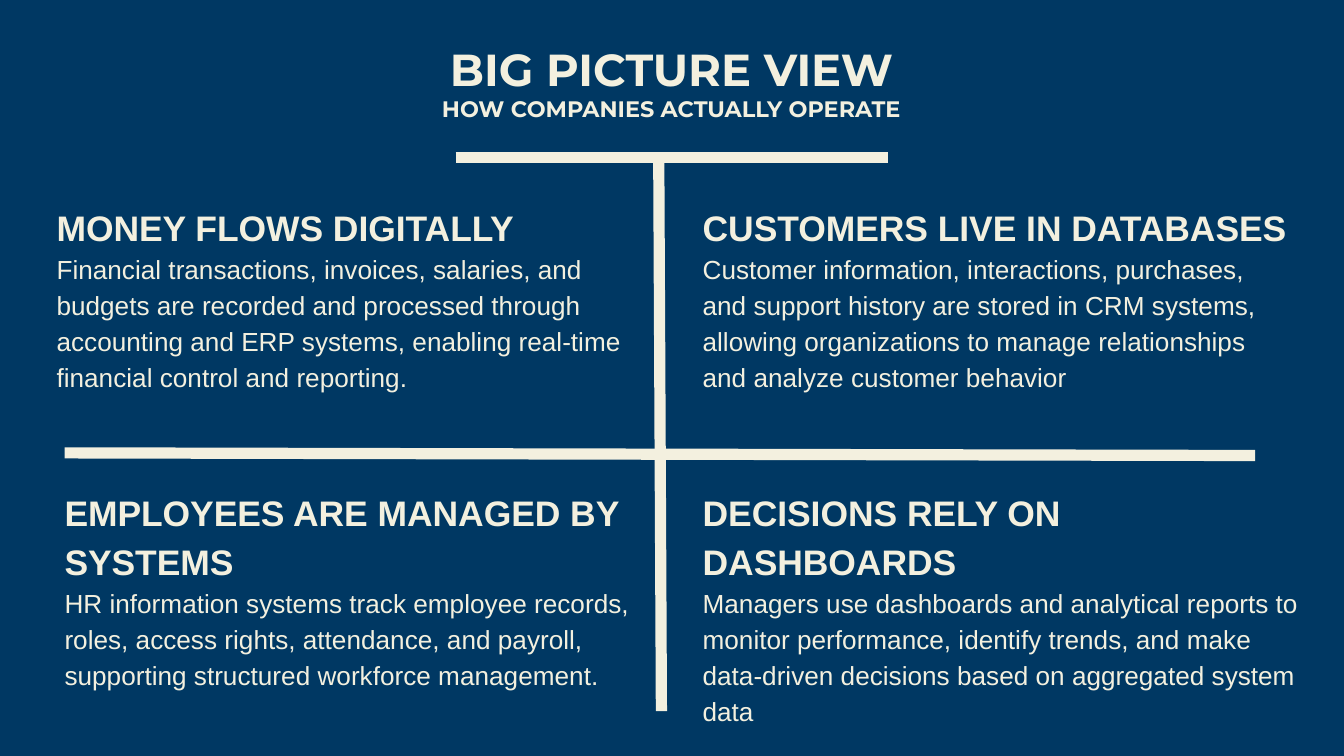
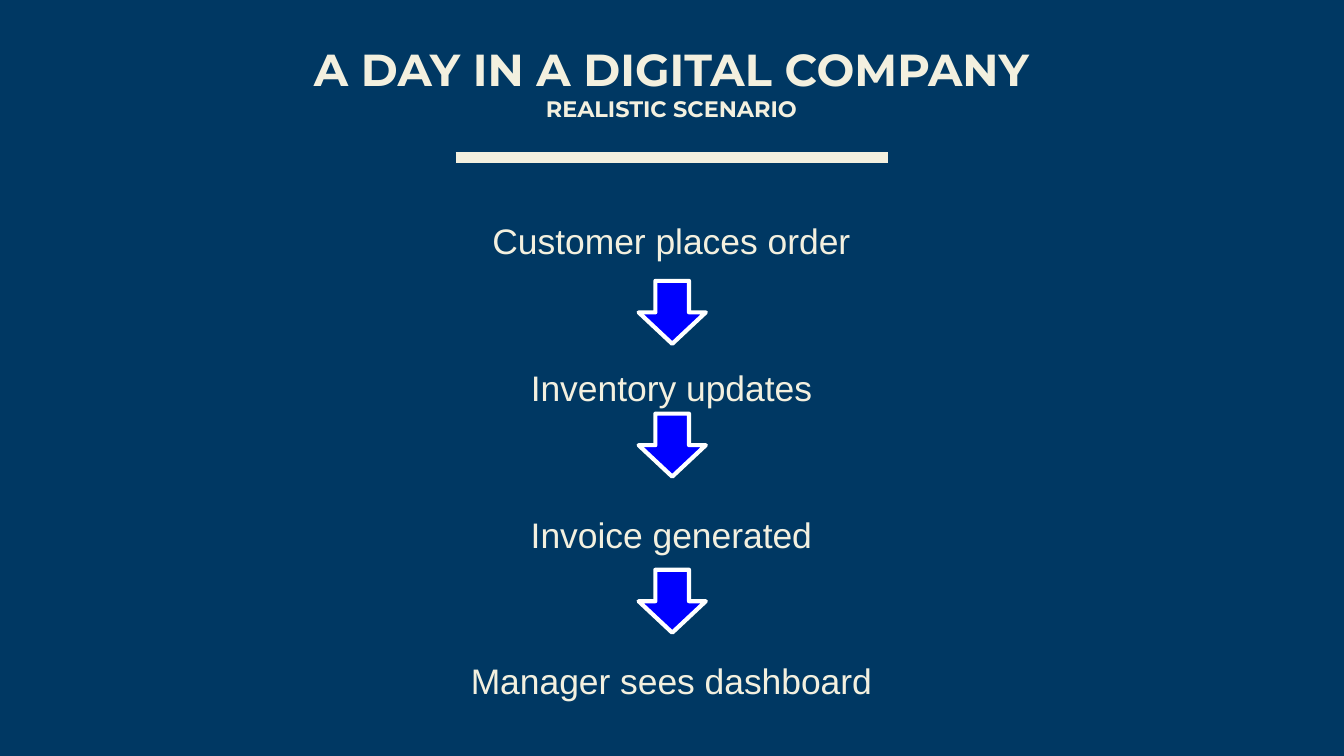
from typing import NamedTuple

from lxml import etree
from pptx import Presentation
from pptx import util as u
from pptx.dml.color import RGBColor
from pptx.enum import shapes, text
from pptx.oxml import ns

NAVY = RGBColor(0x00, 0x38, 0x63)
CREAM = RGBColor(0xF3, 0xF0, 0xDF)
BLUE = RGBColor(0x00, 0x00, 0xFF)
WHITE = RGBColor(0xFF, 0xFF, 0xFF)

LEFT, CENTER = text.PP_ALIGN.LEFT, text.PP_ALIGN.CENTER
TITLE = {"name": "Montserrat", "size": u.Pt(24), "bold": True}
SUB = {**TITLE, "size": u.Pt(12)}
HEAD = {"name": "Arial", "size": u.Pt(19), "bold": True}
BODY = {"name": "Arial", "size": u.Pt(14), "bold": False}
STEP = {**HEAD, "bold": False}
FRAME = {
    "margin_left": 0, "margin_right": 0, "margin_top": 0, "margin_bottom": 0,
    "word_wrap": True, "auto_size": text.MSO_AUTO_SIZE.NONE,
    "vertical_anchor": text.MSO_ANCHOR.TOP,
}


class Box(NamedTuple):
    """Left, top, width and height in centimetres."""
    left: float
    top: float
    width: float
    height: float

    def lengths(self) -> list:
        return [u.Cm(side) for side in self]


class Line(NamedTuple):
    """Start and end points in centimetres."""
    x1: float
    y1: float
    x2: float
    y2: float


class Panel(NamedTuple):
    box: Box
    head: str
    body: str


TITLE_BOX = Box(1.22, 0.79, 22.94, 2.36)
RULE = Line(8.61, 2.97, 16.79, 2.97)
CROSS = [Line(1.22, 8.56, 23.72, 8.61), Line(12.5, 13.44, 12.45, 3.05)]

PANELS = [
    Panel(Box(1.07, 3.78, 10.95, 3.61), "MONEY FLOWS DIGITALLY",
          "Financial transactions, invoices, salaries, and budgets are recorded "
          "and processed through accounting and ERP systems, enabling real-time "
          "financial control and reporting."),
    Panel(Box(13.28, 3.78, 11.07, 3.61), "CUSTOMERS LIVE IN DATABASES",
          "Customer information, interactions, purchases, and support history "
          "are stored in CRM systems, allowing organizations to manage "
          "relationships and analyze customer behavior"),
    Panel(Box(1.22, 9.17, 11.46, 3.84), "EMPLOYEES ARE MANAGED BY SYSTEMS",
          "HR information systems track employee records, roles, access rights, "
          "attendance, and payroll, supporting structured workforce management."),
    Panel(Box(13.28, 9.17, 11.46, 4.52), "DECISIONS RELY ON DASHBOARDS",
          "Managers use dashboards and analytical reports to monitor performance, "
          "identify trends, and make data-driven decisions based on aggregated "
          "system data"),
]

STEPS = ["Customer places order", "Inventory updates",
         "Invoice generated", "Manager sees dashboard"]
STEP_TOP, STEP_GAP = 4.03, 2.77
ARROW_TOPS = [5.31, 7.82, 10.77]


def apply(target, values: dict) -> None:
    for name, value in values.items():
        setattr(target, name, value)


def write(frame, lines: list, align, spacing: float) -> None:
    """Fill a text frame with (words, font values) paragraphs."""
    apply(frame, FRAME)
    for index, (words, style) in enumerate(lines):
        para = frame.add_paragraph() if index else frame.paragraphs[0]
        apply(para, {"alignment": align, "line_spacing": spacing})
        run = para.add_run()
        run.text = words
        apply(run.font, style)
        run.font.color.rgb = CREAM


def add_text(slide, box: Box, lines: list, align) -> None:
    shape = slide.shapes.add_textbox(*box.lengths())
    write(shape.text_frame, lines, align, 1.15)


def add_line(slide, line: Line) -> None:
    ends = [u.Cm(value) for value in line]
    bar = slide.shapes.add_connector(shapes.MSO_CONNECTOR.STRAIGHT, *ends)
    bar.line.color.rgb = CREAM
    bar.line.width = u.Pt(6)
    etree.SubElement(bar._element.spPr, ns.qn("a:effectLst"))


def add_arrow(slide, box: Box) -> None:
    arrow = slide.shapes.add_shape(shapes.MSO_SHAPE.DOWN_ARROW, *box.lengths())
    arrow.shadow.inherit = False
    arrow.fill.solid()
    arrow.fill.fore_color.rgb = BLUE
    arrow.line.color.rgb = WHITE
    arrow.line.width = u.Pt(2.25)


def add_slide(deck, title: str, sub: str):
    """Title-only slide with a two-line heading and the rule below it."""
    slide = deck.slides.add_slide(deck.slide_layouts[5])
    head = slide.shapes.title
    apply(head, dict(zip(("left", "top", "width", "height"), TITLE_BOX.lengths())))
    write(head.text_frame, [(title, TITLE), (sub, SUB)], CENTER, 1.0)
    add_line(slide, RULE)
    return slide


def main() -> None:
    deck = Presentation()
    apply(deck, {"slide_width": u.Cm(25.4), "slide_height": u.Cm(14.29)})
    fill = deck.slide_master.background.fill
    fill.solid()
    fill.fore_color.rgb = NAVY

    # Four panels around a cross
    view = add_slide(deck, "BIG PICTURE VIEW", "HOW COMPANIES ACTUALLY OPERATE")
    for panel in PANELS:
        lines = [(panel.head, HEAD), (panel.body, BODY)]
        add_text(view, panel.box, lines, LEFT)
    for line in CROSS:
        add_line(view, line)

    # Steps joined by arrows
    day = add_slide(deck, "A DAY IN A DIGITAL COMPANY", "REALISTIC SCENARIO")
    for index, step in enumerate(STEPS):
        box = Box(TITLE_BOX.left, STEP_TOP + index * STEP_GAP, TITLE_BOX.width, 0.89)
        add_text(day, box, [(step, STEP)], CENTER)
    for top in ARROW_TOPS:
        add_arrow(day, Box(12.07, top, 1.27, 1.19))

    deck.save("out.pptx")


if __name__ == "__main__":
    main()
